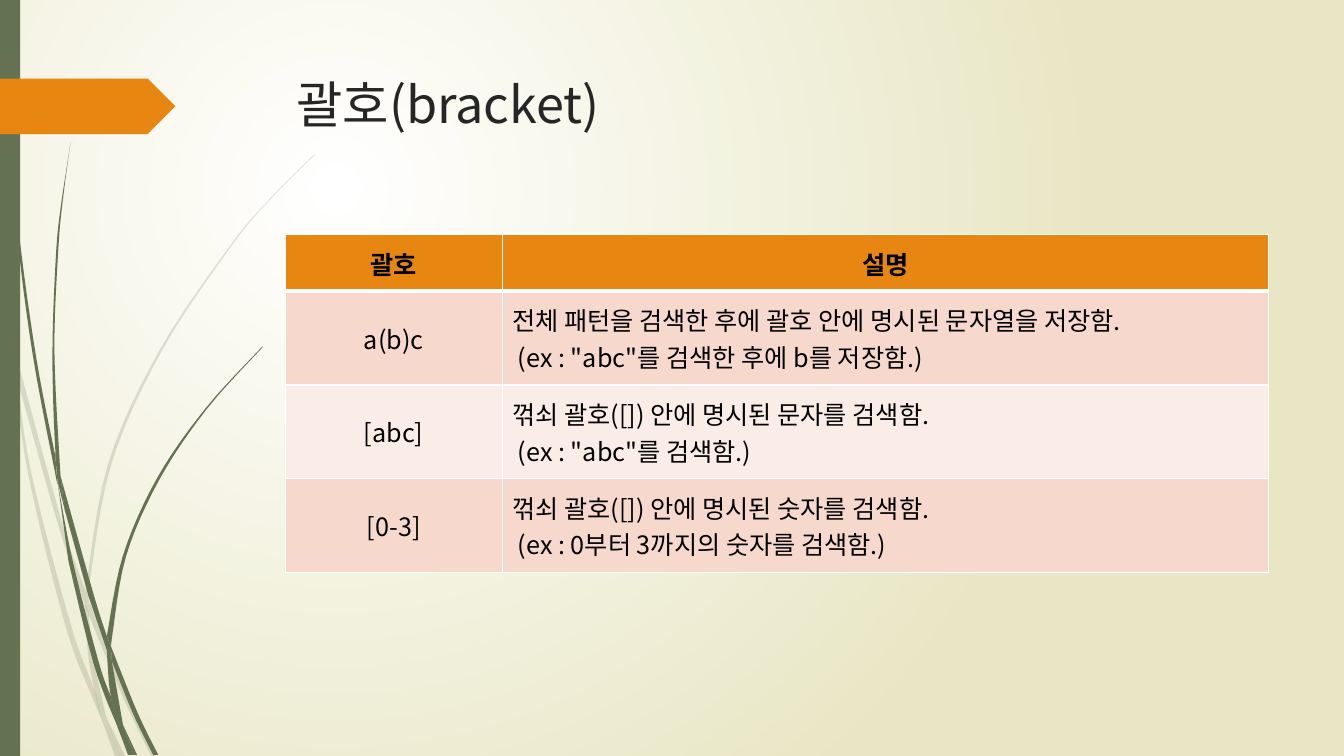
import pptx
import pptx.dml.color
import pptx.enum.shapes
import pptx.enum.text
import pptx.oxml
import pptx.oxml.ns
import pptx.util

COLORS = {
    "green": "647252", "orange": "E78712", "title": "262626", "text": "000000",
    "white": "FFFFFF", "sand": "E8E6C4", "band_dark": "F6D9CC", "band_light": "FAEDE7",
}
FONT = "Noto Sans CJK KR"
COLUMNS, ROWS = 1333, 750
CENTER = pptx.enum.text.PP_ALIGN.CENTER
LEFT = pptx.enum.text.PP_ALIGN.LEFT
MIDDLE = pptx.enum.text.MSO_ANCHOR.MIDDLE

PALE_BLADES = [
    [[(11, 350), (9, 322), (0, 282)], [(0, 299), (10, 344)]],
    [[(14, 345), (62, 520), (85, 586)], [(84, 599), (58, 522), (17, 376)]],
    [[(88, 596), (127, 692), (155, 750)], [(150, 750), (123, 694), (88, 610)]],
    [[(105, 711), (124, 750)], [(119, 750)]],
    [[(11, 350), (17, 376), (31, 469), (70, 619), (93, 683), (101, 714)],
     [(92, 693), (65, 621), (28, 470), (11, 350)]],
    [[(84, 599), (88, 608)], [(91, 646), (105, 711)], [(93, 683), (87, 646), (84, 599)]],
    [[(85, 586), (107, 461), (158, 348), (228, 244), (268, 197), (312, 153)],
     [(312, 154), (268, 198), (229, 245), (160, 349), (110, 462), (88, 584)], [(88, 596)]],
    [[(101, 714), (119, 750)], [(114, 750)]],
    [[(88, 610), (88, 596)], [(85, 586), (84, 599), (88, 608)]],
    [[(93, 683), (105, 711), (119, 750)], [(101, 714), (99, 707)]],
]
DARK_BLADES = [
    [[(7, 110), (17, 233), (33, 355), (57, 481)],
     [(55, 453), (36, 355), (19, 232), (8, 109), (4, 0)], [(3, 0), (4, 48), (7, 110)]],
    [[(88, 592), (106, 645)], [(106, 631), (93, 590), (60, 472)], [(64, 505), (88, 592)]],
    [[(110, 641), (136, 706), (157, 749)], [(152, 749), (132, 708), (111, 656)]],
    [[(110, 691), (98, 657), (72, 556), (57, 477)],
     [(68, 557), (93, 659), (117, 722)]],
    [[(60, 472), (54, 349), (58, 245), (63, 193), (70, 141)],
     [(62, 193), (56, 245), (52, 349), (55, 449), (60, 472)]],
    [[(133, 749), (136, 749)], [(122, 719)]],
    [[(57, 477), (64, 505)], [(60, 472), (55, 449)], [(55, 453)]],
    [[(111, 633), (125, 552), (158, 476), (205, 406), (261, 344)],
     [(260, 344), (204, 405), (156, 474), (122, 551), (106, 631)], [(110, 641)]],
    [[(117, 722), (127, 749)], [(131, 749)]],
    [[(106, 645), (110, 691), (122, 719)], [(111, 656), (106, 645)]],
    [[(106, 645), (111, 656)], [(110, 641), (106, 631)]],
    [[(110, 691), (117, 722), (130, 749)], [(133, 749), (122, 719)]],
]
TABLE_TEXT = [
    ("괄호", "설명"),
    ("a(b)c", "전체 패턴을 검색한 후에 괄호 안에 명시된 문자열을 저장함.\n"
              " (ex : \"abc\"를 검색한 후에 b를 저장함.)"),
    ("[abc]", "꺾쇠 괄호([]) 안에 명시된 문자를 검색함.\n (ex : \"abc\"를 검색함.)"),
    ("[0-3]", "꺾쇠 괄호([]) 안에 명시된 숫자를 검색함.\n (ex : 0부터 3까지의 숫자를 검색함.)"),
]


def smooth(points, steps=6):
    if len(points) < 3:
        return points
    padded = [points[0], *points, points[-1]]
    curve = []
    for before, start, end, after in zip(padded, padded[1:], padded[2:], padded[3:]):
        for step in range(steps):
            t = step / steps
            curve.append(tuple(
                b + t * (c - a) / 2 + t**2 * (a - 2.5 * b + 2 * c - d / 2)
                + t**3 * (3 * (b - c) + d - a) / 2
                for a, b, c, d in zip(before, start, end, after)))
    return curve + [points[-1]]


def apply(target, values):
    for name, value in values.items():
        setattr(target, name, value)


class SlideBuilder:
    """Holds the style and the slide, with lengths in columns and rows of a grid."""

    def __init__(self, presentation):
        self.slide = presentation.slides.add_slide(presentation.slide_layouts[6])
        self.column = presentation.slide_width / COLUMNS
        self.row = presentation.slide_height / ROWS

    def place(self, column, row):
        return round(column * self.column), round(row * self.row)

    def color(self, name):
        return pptx.dml.color.RGBColor.from_string(COLORS[name])

    def paint(self, target, color):
        target.fill.solid()
        target.fill.fore_color.rgb = self.color(color)

    def element(self, parent, tag, **attributes):
        child = pptx.oxml.parse_xml(f"<{tag} {pptx.oxml.ns.nsdecls('a')}/>")
        for name, value in attributes.items():
            child.set(name, str(value))
        parent.append(child)
        return child

    def background(self, inner, outer):
        fill = self.slide.background.fill
        fill.gradient()
        for stop, color in zip(fill.gradient_stops, (inner, outer)):
            stop.color.rgb = self.color(color)
        gradient = self.slide.element.xpath(".//p:bg//a:gradFill")[0]
        for linear in gradient.xpath("./a:lin"):
            gradient.remove(linear)
        circle = self.element(gradient, "a:path", path="circle")
        self.element(circle, "a:fillToRect", l=50000, t=50000, r=100000, b=100000)

    def finish(self, shape, color):
        self.paint(shape, color)
        shape.line.fill.background()
        shape.shadow.inherit = False

    def shape(self, kind, left, top, width, height, color):
        shape = self.slide.shapes.add_shape(
            kind, *self.place(left, top), *self.place(width, height))
        self.finish(shape, color)

    def grass(self, blades, color, opacity=100):
        group = self.slide.shapes.add_group_shape()
        for edges in blades:
            points = [self.place(*point) for edge in edges for point in smooth(edge)]
            builder = group.shapes.build_freeform(*points[0])
            builder.add_line_segments(points[1:], close=True)
            blade = builder.convert_to_shape()
            self.finish(blade, color)
            if opacity < 100:
                fill = blade.element.xpath("./p:spPr/a:solidFill/a:srgbClr")[0]
                self.element(fill, "a:alpha", val=opacity * 1000)

    def style_text(self, frame, text, size, color, alignment=LEFT, bold=False):
        frame.text = text
        for paragraph in frame.paragraphs:
            paragraph.alignment = alignment
            for run in paragraph.runs:
                apply(run.font, {"name": FONT, "size": pptx.util.Pt(size), "bold": bold})
                run.font.color.rgb = self.color(color)
                self.element(run.font._element, "a:ea", typeface=FONT)

    def text(self, left, top, width, height, text, size, color):
        box = self.slide.shapes.add_textbox(*self.place(left, top), *self.place(width, height))
        box.text_frame.word_wrap = True
        self.style_text(box.text_frame, text, size, color)

    def borders(self, cell, widths):
        properties = cell._tc.get_or_add_tcPr()
        for side, width in widths.items():
            line = self.element(properties, f"a:ln{side}", w=pptx.util.Pt(width))
            fill = self.element(line, "a:solidFill")
            self.element(fill, "a:srgbClr", val=COLORS["white"])

    def table(self, left, top, widths, heights, texts):
        frame = self.slide.shapes.add_table(
            len(heights), len(widths), *self.place(left, top),
            *self.place(sum(widths), sum(heights)))
        for column, width in zip(frame.table.columns, widths):
            column.width = self.place(width, 0)[0]
        margin = pptx.util.Inches(0.1)
        layout = {f"margin_{side}": margin for side in ("left", "right", "top", "bottom")}
        layout["vertical_anchor"] = MIDDLE
        for r, (row, height) in enumerate(zip(frame.table.rows, heights)):
            row.height = self.place(0, height)[1]
            header = r == 0
            fill = "orange" if header else ("band_light", "band_dark")[r % 2]
            for c, cell in enumerate(row.cells):
                apply(cell, layout)
                self.borders(cell, {"L": 1, "R": 1, "T": 3 if r == 1 else 1,
                                    "B": 3 if header else 1})
                self.paint(cell, fill)
                alignment = CENTER if header or c == 0 else LEFT
                self.style_text(cell.text_frame, texts[r][c], 18, "text", alignment, header)


presentation = pptx.Presentation()
apply(presentation, {"slide_width": pptx.util.Inches(13.33),
                     "slide_height": pptx.util.Inches(7.5)})
builder = SlideBuilder(presentation)
builder.background("white", "sand")
builder.grass(PALE_BLADES, "green", opacity=20)
builder.grass(DARK_BLADES, "green")
builder.shape(pptx.enum.shapes.MSO_SHAPE.RECTANGLE, 0, 0, 20, ROWS, "green")
builder.shape(pptx.enum.shapes.MSO_SHAPE.PENTAGON, 0, 78, 174, 55, "orange")
builder.text(284, 68, 975, 140, "괄호(bracket)", 36, "title")
builder.table(283, 233, [215, 760], [56, 93, 93, 93], TABLE_TEXT)
presentation.save("out.pptx")
